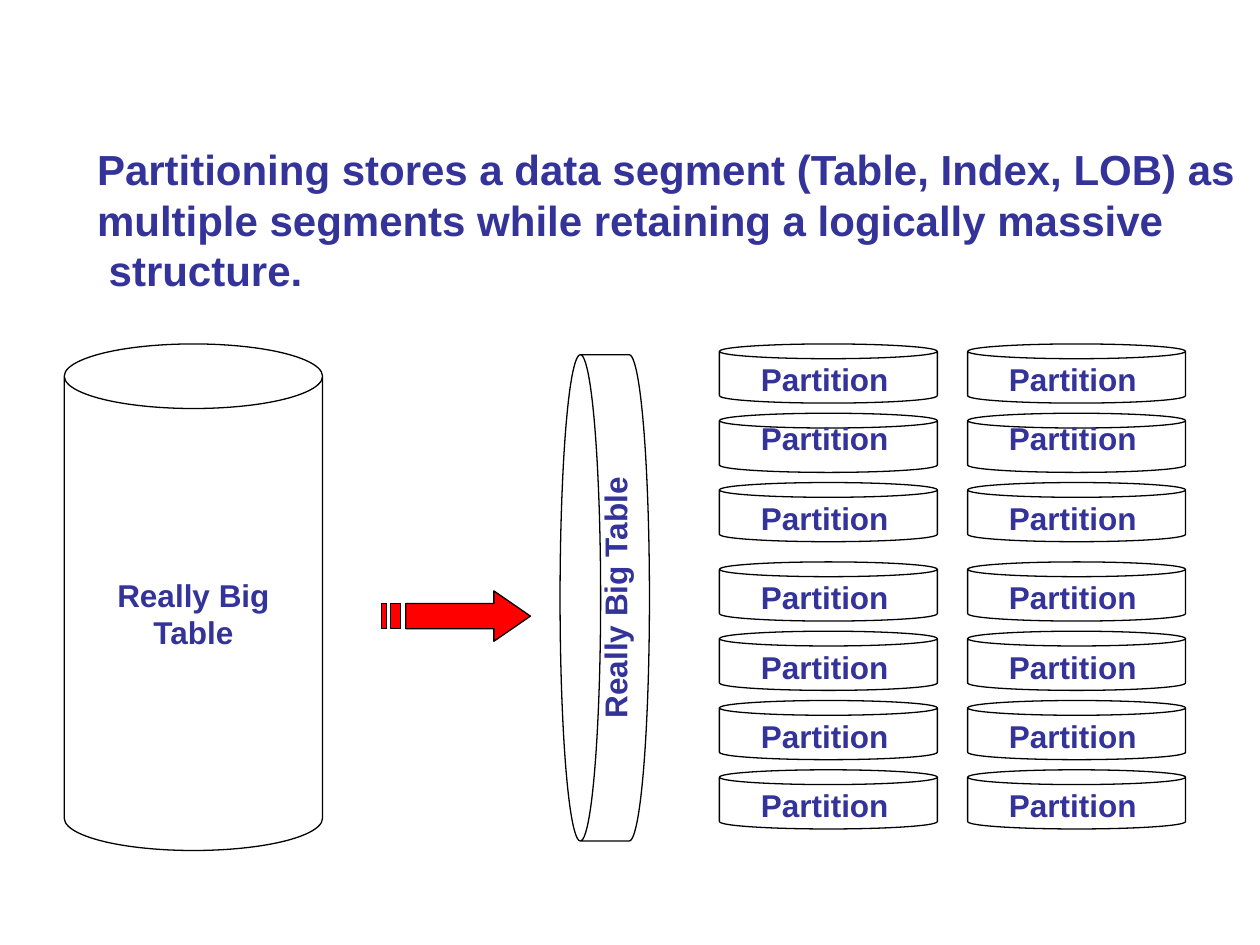
from dataclasses import dataclass

from pptx import Presentation
from pptx.dml.color import RGBColor
from pptx.enum.shapes import MSO_SHAPE
from pptx.enum.text import MSO_ANCHOR, PP_ALIGN
from pptx.shapes.autoshape import Shape
from pptx.shapes.shapetree import SlideShapes
from pptx.text.text import TextFrame
from pptx.util import Inches, Pt

CAN = MSO_SHAPE.CAN
TOP, MIDDLE = MSO_ANCHOR.TOP, MSO_ANCHOR.MIDDLE
LEFT, CENTER = PP_ALIGN.LEFT, PP_ALIGN.CENTER


@dataclass(frozen=True)
class Theme:
    font: str = "Arial"
    ink: RGBColor = RGBColor(0x33, 0x33, 0x99)
    outline: RGBColor = RGBColor(0, 0, 0)
    arrow: RGBColor = RGBColor(0xFF, 0, 0)
    title_size: Pt = Pt(24)
    label_size: Pt = Pt(18)
    line_width: Pt = Pt(0.75)


@dataclass(frozen=True)
class Box:
    left: float
    top: float
    width: float
    height: float

    def lengths(self) -> tuple[Inches, ...]:
        return tuple(map(Inches, (self.left, self.top, self.width, self.height)))


@dataclass(frozen=True)
class Cylinder:
    box: Box
    depth: float = 0.25
    rotation: float = 0
    lines: tuple[str, ...] = ()


THEME = Theme()
STATEMENT = (
    "Partitioning stores a data segment (Table, Index, LOB) as",
    "multiple segments while retaining a logically massive",
    " structure.",
)
STATEMENT_BOX = Box(0.67, 0.52, 9.26, 2.27)
TABLES = (
    Cylinder(Box(0.51, 2.73, 2.05, 4.02), lines=("Really Big", "Table")),
    Cylinder(Box(2.87, 4.39, 3.86, 0.71), 0.454, 270, ("Really Big Table",)),
)
COLUMN_LEFTS = (5.71, 7.68)
ROW_COUNT = 7
ROW_TOP, ROW_PITCH = 2.73, 0.55
GROUP_ROWS, GROUP_GAP = 3, 0.08
RAISED_ROW = 1
ARROW_LEFT, ARROW_TOP = 3.03, 4.69
ARROW_CONTOURS = (
    ((0.89, 0), (0.89, 0.1), (0.19, 0.1), (0.19, 0.3), (0.89, 0.3), (0.89, 0.4), (1.18, 0.2)),
    ((0.07, 0.1), (0.07, 0.3), (0.15, 0.3), (0.15, 0.1)),
    ((0, 0.1), (0, 0.3), (0.04, 0.3), (0.04, 0.1)),
)


def write_lines(frame: TextFrame, lines: tuple[str, ...], size: Pt, alignment: PP_ALIGN,
                anchor: MSO_ANCHOR, margin_top: float = 0.05) -> None:
    frame_format = {
        "word_wrap": False,
        "vertical_anchor": anchor,
        "margin_left": Inches(0.1),
        "margin_right": Inches(0.1),
        "margin_top": Inches(margin_top),
        "margin_bottom": Inches(0.05),
    }
    for name, value in frame_format.items():
        setattr(frame, name, value)
    font_format = {"name": THEME.font, "size": size, "bold": True}
    for index, line in enumerate(lines):
        paragraph = frame.add_paragraph() if index else frame.paragraphs[0]
        paragraph.alignment = alignment
        run = paragraph.add_run()
        run.text = line
        run.font.color.rgb = THEME.ink
        for name, value in font_format.items():
            setattr(run.font, name, value)


def outline(shape: Shape) -> None:
    shape.shadow.inherit = False
    shape.line.color.rgb = THEME.outline
    shape.line.width = THEME.line_width


def draw_cylinder(shapes: SlideShapes, cylinder: Cylinder) -> None:
    shape = shapes.add_shape(CAN, *cylinder.box.lengths())
    shape.adjustments[0] = cylinder.depth
    shape.rotation = cylinder.rotation
    shape.fill.background()
    outline(shape)
    if cylinder.lines:
        write_lines(shape.text_frame, cylinder.lines, THEME.label_size, CENTER, MIDDLE)


def draw_partition(shapes: SlideShapes, left: float, row: int) -> None:
    top = ROW_TOP + row * ROW_PITCH + (GROUP_GAP if row >= GROUP_ROWS else 0)
    draw_cylinder(shapes, Cylinder(Box(left, top, 1.73, 0.47)))
    label_top = top + (0 if row == RAISED_ROW else 0.08)
    label = shapes.add_textbox(*Box(left + 0.23, label_top, 1.33, 0.4).lengths())
    write_lines(label.text_frame, ("Partition",), THEME.label_size, LEFT, TOP)
    label.text_frame.word_wrap = True


def draw_arrow(shapes: SlideShapes) -> None:
    first, *stripes = [
        [(Inches(ARROW_LEFT + x), Inches(ARROW_TOP + y)) for x, y in contour]
        for contour in ARROW_CONTOURS
    ]
    builder = shapes.build_freeform(*first[0])
    builder.add_line_segments(first[1:], close=True)
    for stripe in stripes:
        builder.move_to(*stripe[0])
        builder.add_line_segments(stripe[1:], close=True)
    arrow = builder.convert_to_shape()
    arrow.fill.solid()
    arrow.fill.fore_color.rgb = THEME.arrow
    outline(arrow)


def place_statement(title: Shape) -> None:
    title.left, title.top, title.width, title.height = STATEMENT_BOX.lengths()
    write_lines(title.text_frame, STATEMENT, THEME.title_size, LEFT, TOP, margin_top=0.62)


def main() -> None:
    presentation = Presentation()
    presentation.slide_width = Inches(10)
    presentation.slide_height = Inches(7.5)
    slide = presentation.slides.add_slide(presentation.slide_layouts[5])
    place_statement(slide.shapes.title)
    for table in TABLES:
        draw_cylinder(slide.shapes, table)
    draw_arrow(slide.shapes)
    for left in COLUMN_LEFTS:
        for row in range(ROW_COUNT):
            draw_partition(slide.shapes, left, row)
    presentation.save("out.pptx")


if __name__ == "__main__":
    main()
